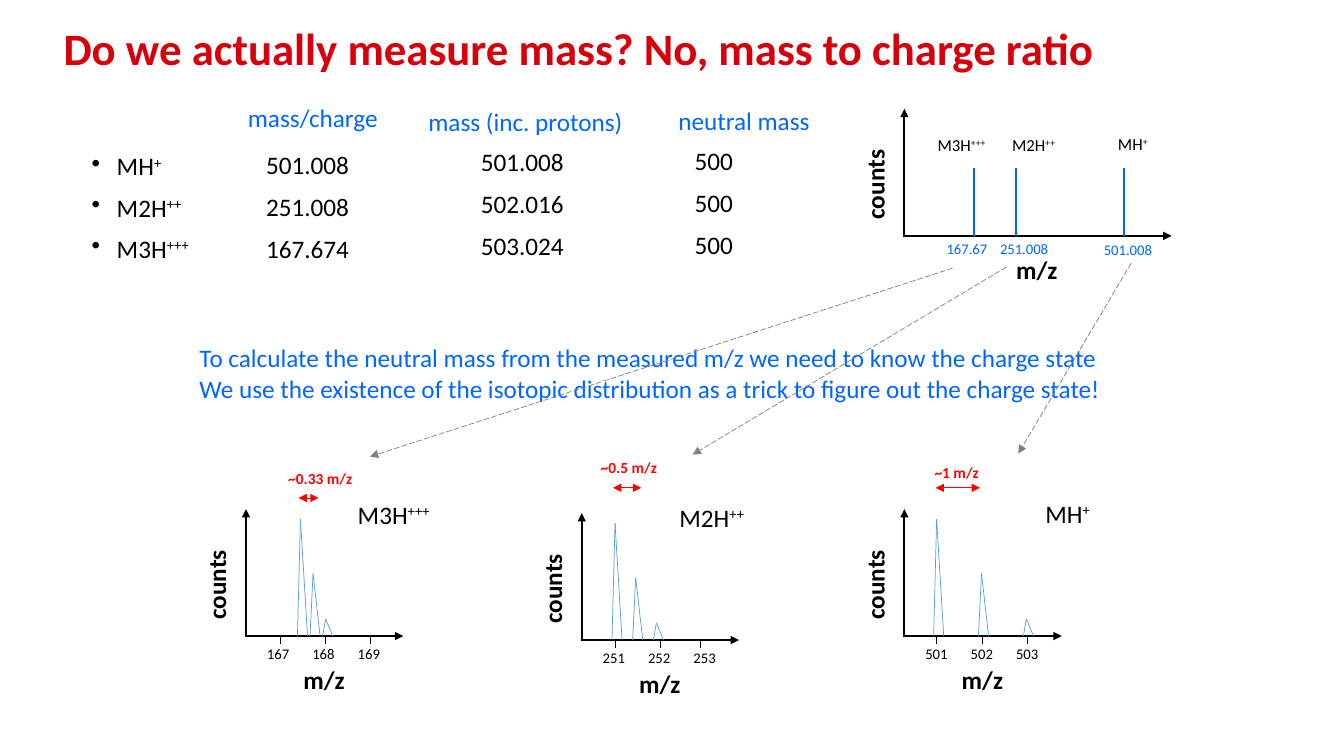
from lxml.etree import SubElement
from pptx import Presentation
from pptx.dml.color import RGBColor
from pptx.enum.dml import MSO_LINE
from pptx.enum.shapes import MSO_CONNECTOR
from pptx.enum.text import MSO_ANCHOR, MSO_AUTO_SIZE, PP_ALIGN
from pptx.oxml.ns import qn
from pptx.util import Inches, Pt

COLORS = {"title": "D6000D", "blue": "0066FF", "black": "000000",
          "peak": "5B9BD5", "red": "FF0000", "gray": "808080"}
FONT = "Calibri"
TITLE = "Do we actually measure mass? No, mass to charge ratio"
IONS = ["MH+", "M2H++", "M3H+++"]
MESSAGE = [
    "To calculate the neutral mass from the measured m/z we need to know the charge state",
    "We use the existence of the isotopic distribution as a trick to figure out the charge state!",
]
COLUMNS = [
    {"head": "mass/charge", "head_at": (2.36, 0.97, 1.65), "at": (2.54, 1.43, 1.11),
     "values": ["501.008", "251.008", "167.674"]},
    {"head": "mass (inc. protons)", "head_at": (4.15, 1.01, 2.35), "at": (4.67, 1.4, 1.11),
     "values": ["501.008", "502.016", "503.024"]},
    {"head": "neutral mass", "head_at": (6.63, 1.0, 1.69), "at": (6.79, 1.39, 0.62),
     "values": ["500", "500", "500"]},
]
ROW_STEP = 0.42

OVERVIEW = {"origin": (8.96, 2.34), "length": 2.66, "unit_at": (1.02, 0.13)}
OVERVIEW_PEAKS = [
    {"x": 9.66, "ion": "M3H+++", "ion_at": (9.2, 1.29, 0.75),
     "mz": "167.67", "mz_at": (9.29, 2.33, 0.62)},
    {"x": 10.08, "ion": "M2H++", "ion_at": (9.94, 1.29, 0.69),
     "mz": "251.008", "mz_at": (9.82, 2.33, 0.74)},
    {"x": 11.15, "ion": "MH+", "ion_at": (10.99, 1.28, 0.53),
     "mz": "501.008", "mz_at": (10.85, 2.34, 0.74)},
]
PEAK_HEIGHTS = [1.16, 0.62, 0.17]
TICK_STEP = 0.45
SPECTRA = [
    {"ion": "M3H+++", "ion_at": (3.45, 4.9, 6.67), "origin": (2.43, 6.31), "first_mz": 167,
     "ticks": [2.78, 3.23, 3.67], "first_peak": 2.98, "peak_step": 0.125,
     "gap": "~0.33 m/z", "gap_at": (2.76, 4.6, 0.85), "gap_line": (2.96, 3.16, 4.94),
     "zoom": ((9.45, 2.66), (3.67, 4.53))},
    {"ion": "M2H++", "ion_at": (6.64, 4.93, 6.67), "origin": (5.76, 6.35), "first_mz": 251,
     "ticks": [6.1, 6.55, 6.95], "first_peak": 6.1, "peak_step": 0.205,
     "gap": "~0.5 m/z", "gap_at": (5.86, 4.5, 0.77), "gap_line": (6.08, 6.36, 4.84),
     "zoom": ((9.98, 2.65), (6.87, 4.51))},
    {"ion": "MH+", "ion_at": (10.27, 4.89, 0.69), "origin": (8.96, 6.31), "first_mz": 501,
     "ticks": [9.29, 9.74, 10.19], "first_peak": 9.29, "peak_step": 0.445,
     "gap": "~1 m/z", "gap_at": (9.17, 4.55, 0.65), "gap_line": (9.28, 9.72, 4.84),
     "zoom": ((11.22, 2.61), (10.1, 4.5))},
]
SPECTRUM_LENGTH = 1.57
SPECTRUM_UNIT_AT = (0.48, 0.23)


def set_font(para, size, color, bold=False):
    para.font.name = FONT
    para.font.size = Pt(size)
    para.font.bold = bold
    para.font.color.rgb = RGBColor.from_string(COLORS[color])


def write(para, text):
    base = text.rstrip("+")
    para.add_run().text = base
    if base != text:
        span = para.add_run()
        span.text = text[len(base):]
        span.font._element.set("baseline", "30000")


def add_text(page, lines, at, size=18, color="black", bold=False, height=0.4, wrap=False):
    left, top, width = at
    box = page.shapes.add_textbox(Inches(left), Inches(top), Inches(width), Inches(height))
    frame = box.text_frame
    frame.word_wrap = wrap
    frame.auto_size = MSO_AUTO_SIZE.SHAPE_TO_FIT_TEXT
    for index, line in enumerate(lines):
        para = frame.add_paragraph() if index else frame.paragraphs[0]
        write(para, line)
        set_font(para, size, color, bold)
    return box


def add_line(page, start, end, color="black", width=0.5, ends=(), dashed=False):
    line = page.shapes.add_connector(
        MSO_CONNECTOR.STRAIGHT, *(Inches(value) for value in (*start, *end)))
    line.line.color.rgb = RGBColor.from_string(COLORS[color])
    line.line.width = Pt(width)
    if dashed:
        line.line.dash_style = MSO_LINE.LONG_DASH
    for end_name in ends:
        SubElement(line.line._get_or_add_ln(), qn(f"a:{end_name}")).set("type", "triangle")
    SubElement(line._element.spPr, qn("a:effectLst"))


def add_axes(page, origin, length, unit_at):
    x, y = origin
    add_line(page, (x, y), (x + length, y), width=1.5, ends=["tailEnd"])
    add_line(page, (x + 0.01, y), (x + 0.01, y - 1.26), width=1.5, ends=["tailEnd"])
    add_text(page, ["m/z"], (x + unit_at[0], y + unit_at[1], 0.62), bold=True)
    counts = add_text(page, ["counts"], (x - 0.8, y - 0.78, 1.03), bold=True)
    counts.rotation = 270


def add_title(page):
    title = page.shapes.title
    title.left, title.top, title.width, title.height = map(Inches, (0.53, 0.04, 10.84, 0.93))
    frame = title.text_frame
    frame.text = TITLE
    frame.auto_size = MSO_AUTO_SIZE.NONE
    frame.vertical_anchor = MSO_ANCHOR.MIDDLE
    para = frame.paragraphs[0]
    para.alignment = PP_ALIGN.LEFT
    para.line_spacing = 0.9
    set_font(para, 32, "title", True)


def add_mass_list(page):
    ions = add_text(page, IONS, (0.81, 1.48, 1.5), height=1.2, wrap=True)
    for para in ions.text_frame.paragraphs:
        para.line_spacing = 0.9
        para.space_after = Pt(10)
        properties = para._p.get_or_add_pPr()
        properties.set("marL", str(Inches(0.25)))
        properties.set("indent", str(-Inches(0.25)))
        bullet = properties.makeelement(qn("a:buChar"), {"char": "•"})
        properties.find(qn("a:defRPr")).addprevious(bullet)
    for column in COLUMNS:
        add_text(page, [column["head"]], column["head_at"], color="blue")
        left, top, width = column["at"]
        for row, value in enumerate(column["values"]):
            add_text(page, [value], (left, top + row * ROW_STEP, width))


def add_overview(page):
    add_axes(page, **OVERVIEW)
    base = OVERVIEW["origin"][1]
    for peak in OVERVIEW_PEAKS:
        add_line(page, (peak["x"], base), (peak["x"], base - 0.67), "blue", 1.5)
        add_text(page, [peak["ion"]], peak["ion_at"], 12, height=0.3)
        add_text(page, [peak["mz"]], peak["mz_at"], 10.5, "blue", height=0.28)


def add_spectrum(page, spectrum):
    x, y = spectrum["origin"]
    add_axes(page, (x, y), SPECTRUM_LENGTH, SPECTRUM_UNIT_AT)
    for index, height in enumerate(PEAK_HEIGHTS):
        apex = spectrum["first_peak"] + index * spectrum["peak_step"]
        for foot in (apex - 0.03, apex + 0.07):
            add_line(page, (foot, y), (apex, y - height), "peak")
    for index, tick in enumerate(spectrum["ticks"]):
        add_line(page, (tick, y), (tick, y + 0.08))
        add_text(page, [str(spectrum["first_mz"] + index)],
                 (x + 0.12 + index * TICK_STEP, y + 0.04, 0.43), 10.5, height=0.28)
    left, right, level = spectrum["gap_line"]
    add_line(page, (left, level), (right, level), "red", ends=["headEnd", "tailEnd"])
    add_text(page, [spectrum["gap"]], spectrum["gap_at"], 11, "red", True, 0.29)
    add_line(page, *spectrum["zoom"], "gray", ends=["tailEnd"], dashed=True)
    add_text(page, [spectrum["ion"]], spectrum["ion_at"], wrap=True)


def main():
    deck = Presentation()
    deck.slide_width, deck.slide_height = Inches(13.33), Inches(7.5)
    page = deck.slides.add_slide(deck.slide_layouts[5])
    add_title(page)
    add_mass_list(page)
    add_overview(page)
    add_text(page, MESSAGE, (1.88, 3.35, 9.25), color="blue", height=0.71)
    for spectrum in SPECTRA:
        add_spectrum(page, spectrum)
    deck.save("out.pptx")


if __name__ == "__main__":
    main()
